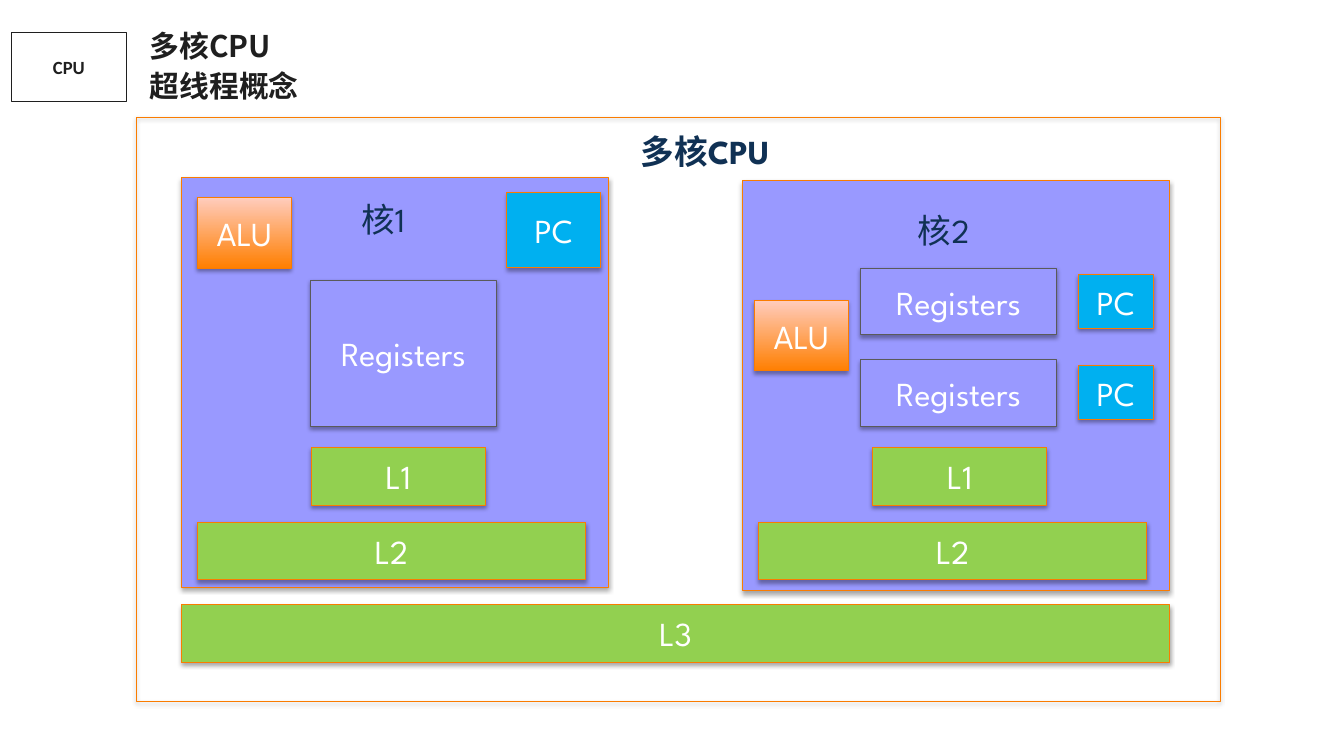
from dataclasses import dataclass

from lxml.etree import SubElement
from pptx import Presentation
from pptx.dml.color import RGBColor
from pptx.enum.shapes import MSO_SHAPE
from pptx.enum.text import MSO_ANCHOR, MSO_AUTO_SIZE, PP_ALIGN
from pptx.oxml.ns import qn
from pptx.util import Cm, Pt

COLORS = {
    "ink": "1F1F1F", "navy": "103154", "white": "FFFFFF", "core": "9999FF",
    "cache": "92D050", "counter": "00B0F0", "orange": "FA7C00",
    "grey": "5A5A5A", "alu_bottom": "FF7F01", "alu_top": "FFCCBD",
    "shadow": "000000",
}
CHINESE_FONT = "Noto Sans CJK SC"
DIAGRAM_FONT = "League Spartan"
CACHE_HEIGHT = 1.45


@dataclass
class Block:
    """A rectangle of the diagram; lengths in centimetres."""
    left: float
    top: float
    width: float
    height: float
    text: str = ""
    fill: str = ""
    line: str = "orange"
    shadow: bool = True
    font: str = DIAGRAM_FONT
    size: float = 24
    color: str = "white"
    bold: bool = False
    wide_margins: bool = False


@dataclass
class Label:
    """A free text box; lengths in centimetres."""
    left: float
    top: float
    width: float
    height: float
    text: str
    font: str = DIAGRAM_FONT
    size: float = 24
    color: str = "navy"
    bold: bool = False
    spacing: float = 1.0
    wide_margins: bool = False


def rgb(name: str) -> RGBColor:
    return RGBColor.from_string(COLORS[name])


def set_text(shape, item: Block | Label, alignment: PP_ALIGN) -> None:
    frame = shape.text_frame
    frame.word_wrap = True
    if item.wide_margins:
        frame.margin_left = frame.margin_right = Cm(0.33)
        frame.margin_top = frame.margin_bottom = Cm(0.18)
    frame.text = item.text
    for paragraph in frame.paragraphs:
        paragraph.alignment = alignment
        for run in paragraph.runs:
            run.font.name = item.font
            run.font.size = Pt(item.size)
            run.font.bold = item.bold
            run.font.color.rgb = rgb(item.color)
            east_asian = SubElement(run.font._element, qn("a:ea"))
            east_asian.set("typeface", CHINESE_FONT)


def add_shadow(shape) -> None:
    effects = shape._element.spPr.find(qn("a:effectLst"))
    shadow = SubElement(effects, qn("a:outerShdw"), blurRad=str(Pt(3.1)),
                        dist=str(Pt(1.8)), dir="5400000", rotWithShape="0")
    color = SubElement(shadow, qn("a:srgbClr"), val=COLORS["shadow"])
    SubElement(color, qn("a:alpha"), val="35000")


def add_block(slide, block: Block) -> None:
    shape = slide.shapes.add_shape(
        MSO_SHAPE.RECTANGLE, Cm(block.left), Cm(block.top),
        Cm(block.width), Cm(block.height))
    if block.fill == "alu":
        shape.fill.gradient()
        shape.fill.gradient_angle = 90
        for stop, name in zip(shape.fill.gradient_stops, ("alu_bottom", "alu_top")):
            stop.color.rgb = rgb(name)
        shape.fill.gradient_stops[0].position = 0
        shape.fill.gradient_stops[1].position = 1
    elif block.fill:
        shape.fill.solid()
        shape.fill.fore_color.rgb = rgb(block.fill)
    else:
        shape.fill.background()
    shape.line.color.rgb = rgb(block.line)
    shape.line.width = Pt(0.75)
    shape.shadow.inherit = False
    if block.shadow:
        add_shadow(shape)
    if block.text:
        shape.text_frame.vertical_anchor = MSO_ANCHOR.MIDDLE
        set_text(shape, block, PP_ALIGN.CENTER)


def add_label(slide, label: Label) -> None:
    box = slide.shapes.add_textbox(
        Cm(label.left), Cm(label.top), Cm(label.width), Cm(label.height))
    set_text(box, label, PP_ALIGN.LEFT)
    box.text_frame.auto_size = MSO_AUTO_SIZE.SHAPE_TO_FIT_TEXT
    if label.wide_margins:
        box.text_frame.vertical_anchor = MSO_ANCHOR.MIDDLE
    for paragraph in box.text_frame.paragraphs:
        paragraph.line_spacing = label.spacing


def core(left: float, top: float) -> Block:
    return Block(left, top, 10.77, 10.34, fill="core")


def registers(left: float, top: float, width: float, height: float) -> Block:
    return Block(left, top, width, height, "Registers", "core", "grey")


def alu(left: float, top: float) -> Block:
    return Block(left, top, 2.36, 1.78, "ALU", "alu")


def counter(left: float, top: float, width: float, height: float) -> Block:
    return Block(left, top, width, height, "PC", "counter")


def cache(left: float, top: float, width: float, text: str) -> Block:
    return Block(left, top, width, CACHE_HEIGHT, text, "cache")


def core_caches(core_left: float) -> list[Block]:
    return [cache(core_left + 3.28, 11.28, 4.39, "L1"),
            cache(core_left + 0.41, 13.16, 9.78, "L2")]


def main() -> None:
    presentation = Presentation()
    presentation.slide_width = Cm(33.88)
    presentation.slide_height = Cm(19.05)
    slide = presentation.slides.add_slide(presentation.slide_layouts[6])

    first_left, second_left = 4.57, 18.72
    blocks = [
        # Topic tag
        Block(0.28, 0.81, 2.92, 1.75, "CPU", line="ink", shadow=False,
              font="Calibri", size=13.3, color="ink", bold=True,
              wide_margins=True),
        # Core with one thread
        core(first_left, 4.47),
        registers(7.82, 7.06, 4.7, 3.68),
        alu(4.98, 4.98),
        counter(12.78, 4.85, 2.36, 1.9),
        *core_caches(first_left),
        # Core with two threads
        core(second_left, 4.55),
        alu(19.02, 7.57),
        *core_caches(second_left),
    ]
    for thread in range(2):
        blocks.append(registers(21.69, 6.76 + 2.31 * thread, 4.95, 1.68))
        blocks.append(counter(27.18, 6.93 + 2.29 * thread, 1.9, 1.35))
    # Shared cache and processor frame
    blocks.append(cache(first_left, 15.24, 24.92, "L3"))
    blocks.append(Block(3.45, 2.95, 27.31, 14.73))

    labels = [
        Label(3.45, 0.46, 12.78, 2.29, "多核CPU\n超线程概念", CHINESE_FONT,
              21.3, "ink", True, 1.1, True),
        Label(8.86, 4.88, 2.24, 1.27, "核1"),
        Label(22.89, 5.16, 2.24, 1.27, "核2"),
        Label(15.9, 3.18, 3.94, 1.27, "多核CPU", bold=True),
    ]

    for block in blocks:
        add_block(slide, block)
    for label in labels:
        add_label(slide, label)
    presentation.save("out.pptx")


if __name__ == "__main__":
    main()
